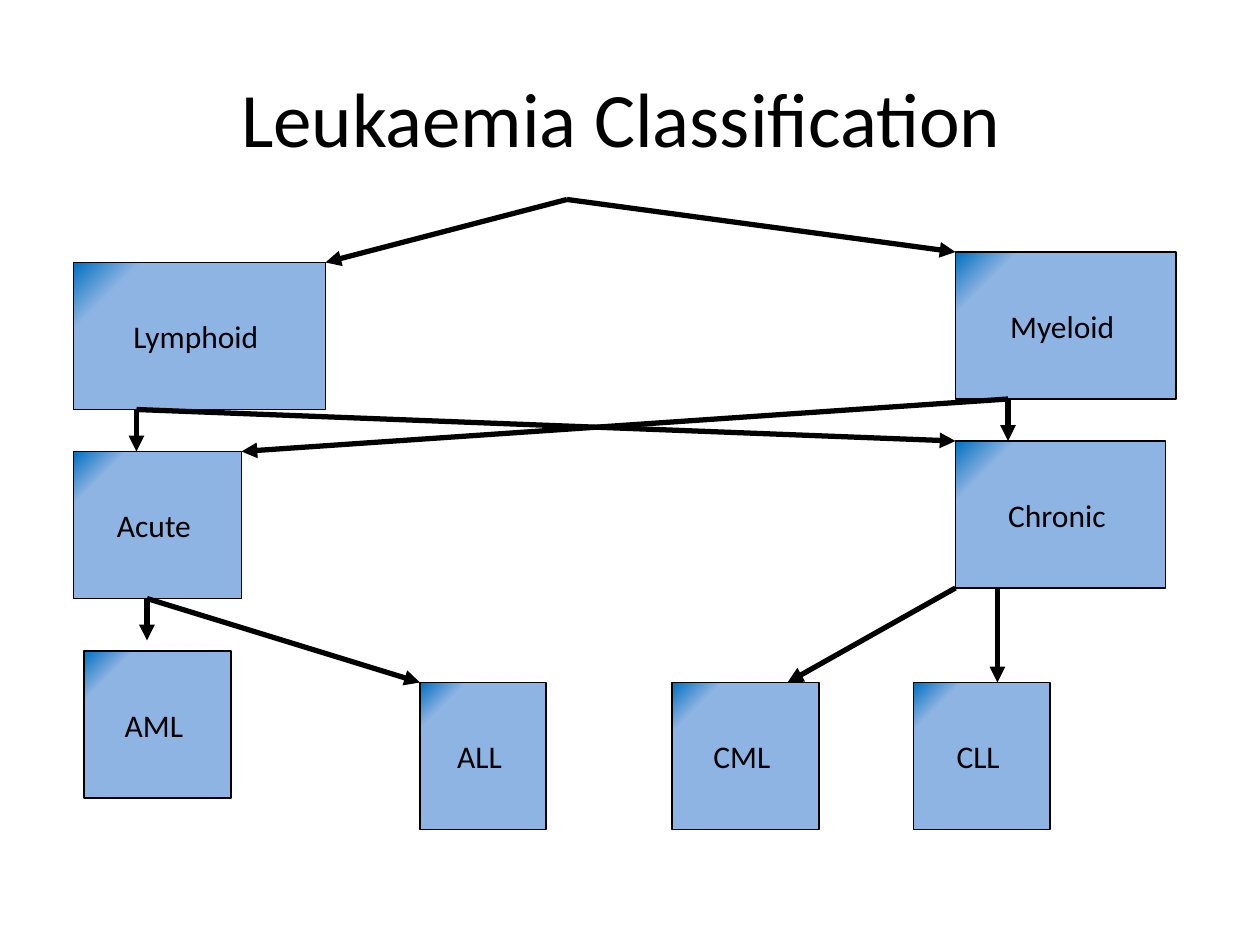
import pptx
import pptx.util
import pptx.dml.color
import pptx.enum.shapes
import pptx.enum.text
import pptx.oxml
import pptx.oxml.ns

COLORS = {"ink": "000000", "box": "8EB4E3", "corner": "0070C0"}

prs = pptx.Presentation()
prs.slide_width = pptx.util.Inches(10)
prs.slide_height = pptx.util.Inches(7.5)
s = prs.slides.add_slide(prs.slide_layouts[5])
UNIT = prs.slide_width // 120


def write(sp, text, size, wrap):
    tf = sp.text_frame
    tf.word_wrap = wrap
    tf.vertical_anchor = pptx.enum.text.MSO_ANCHOR.MIDDLE
    p = tf.paragraphs[0]
    p.alignment = pptx.enum.text.PP_ALIGN.CENTER
    r = p.add_run()
    r.text = text
    r.font.size = pptx.util.Pt(size)
    r.font.name = "Calibri"
    r.font.color.rgb = pptx.dml.color.RGBColor.from_string(COLORS["ink"])


def set_line(sp, width):
    sp.line.color.rgb = pptx.dml.color.RGBColor.from_string(COLORS["ink"])
    sp.line.width = pptx.util.Pt(width)


title = s.shapes.title
title.left, title.top = int(prs.slide_width * 0.05), int(prs.slide_height * 0.04)
title.width, title.height = int(prs.slide_width * 0.9), prs.slide_height // 6
write(title, "Leukaemia Classification ", size=44, wrap=True)

BOX_ROWS = 14
boxes = [
    ("Lymphoid ", 7, 25, 24),
    ("Myeloid ", 91, 24, 21),
    ("Acute ", 7, 43, 16),
    ("Chronic ", 91, 42, 20),
    ("AML ", 8, 62, 14),
    ("ALL ", 40, 65, 12),
    ("CML ", 64, 65, 14),
    ("CLL ", 87, 65, 13),
]
gradient = (
    f'<a:gradFill {pptx.oxml.ns.nsdecls("a")} rotWithShape="1"><a:gsLst>'
    f'<a:gs pos="83000"><a:srgbClr val="{COLORS["box"]}"/></a:gs>'
    f'<a:gs pos="100000"><a:srgbClr val="{COLORS["corner"]}"/></a:gs></a:gsLst>'
    '<a:path path="circle"><a:fillToRect l="100000" t="100000"/></a:path></a:gradFill>'
)
for text, col, row, cols in boxes:
    sp = s.shapes.add_shape(pptx.enum.shapes.MSO_SHAPE.RECTANGLE,
                            col * UNIT, row * UNIT, cols * UNIT, BOX_ROWS * UNIT)
    sp.shadow.inherit = False
    set_line(sp, 0.75)
    geometry = sp._element.spPr.find(pptx.oxml.ns.qn("a:prstGeom"))
    geometry.addnext(pptx.oxml.parse_xml(gradient))
    write(sp, text, size=18, wrap=False)

arrows = [
    ((13, 39), [(13, 43), (91, 42)]),
    ((96, 38), [(96, 42), (23, 43)]),
    ((14, 57), [(14, 61), (40, 65)]),
    ((95, 56), [(95, 65)]),
    ((91, 56), [(75, 65)]),
    ((54, 19), [(31, 25), (91, 24)]),
]
for start, ends in arrows:
    for end in ends:
        arrow = s.shapes.add_connector(pptx.enum.shapes.MSO_CONNECTOR.STRAIGHT,
                                       *(v * UNIT for v in start + end))
        set_line(arrow, 3)
        ln = arrow.line._get_or_add_ln()
        ln.append(pptx.oxml.parse_xml(
            f'<a:tailEnd {pptx.oxml.ns.nsdecls("a")} type="triangle"/>'))
        ln.addnext(pptx.oxml.parse_xml(f'<a:effectLst {pptx.oxml.ns.nsdecls("a")}/>'))

prs.save("out.pptx")
